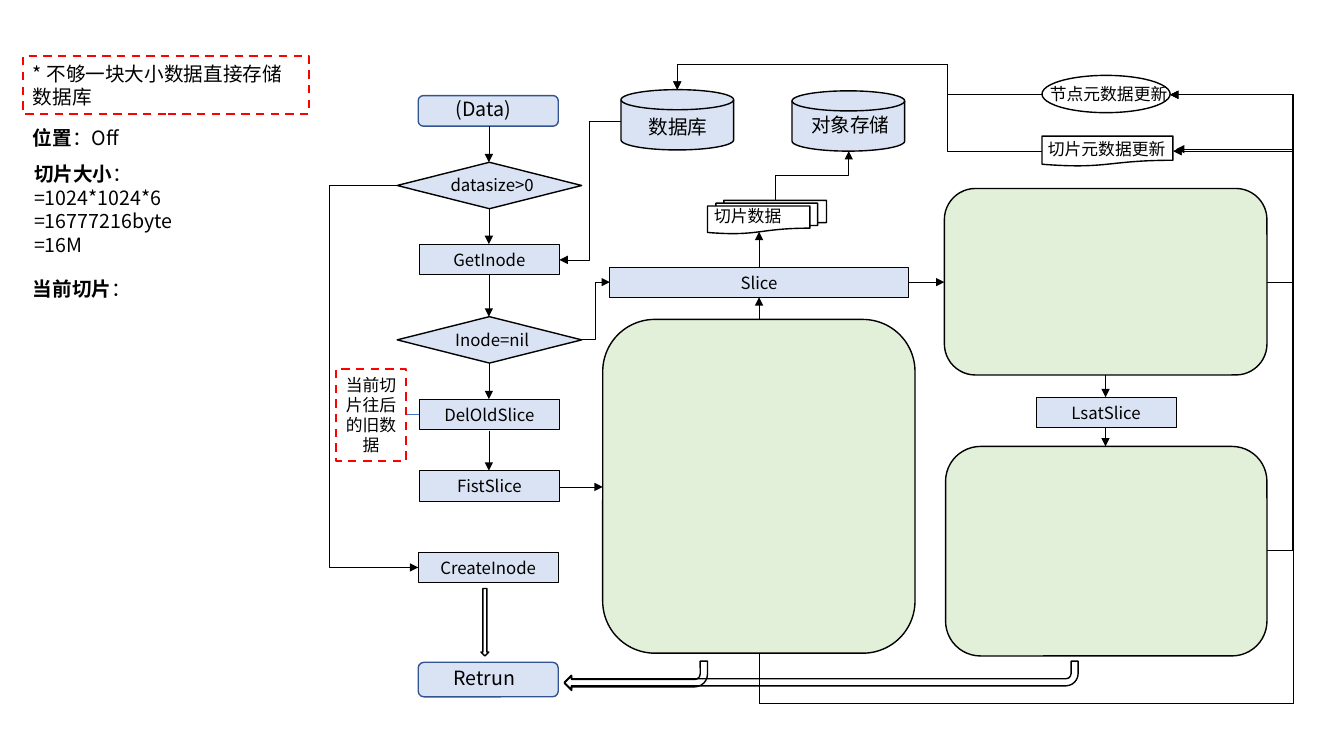
import lxml.etree
import pptx
import pptx.util
import pptx.dml.color
import pptx.enum.dml
import pptx.enum.shapes
import pptx.enum.text
import pptx.oxml.ns

Cm = pptx.util.Cm
Pt = pptx.util.Pt
Kind = pptx.enum.shapes.MSO_SHAPE
Align = pptx.enum.text.PP_ALIGN
qn = pptx.oxml.ns.qn

FONT = "Noto Sans CJK SC"
BLACK, RED, NAVY, BLUE = "000000", "FF0000", "325491", "4472C4"
PALE_BLUE, PALE_GREEN = "DAE3F3", "E2F0D9"
STEP_WIDTH, STEP_HEIGHT = 3.53, 0.77
FLOW_X, SLICE_X, LAST_X = 12.32, 19.13, 27.86  # vertical axes of the arrows


def color(code):
    return pptx.dml.color.RGBColor.from_string(code)


def add_element(parent, tag, **attributes):
    lxml.etree.SubElement(parent, qn(tag), attributes)


def write(frame, text, size=12, lead="", align=Align.CENTER):
    """Fill a text frame; lead is a bold start of the first paragraph."""
    frame.word_wrap = True
    for index, content in enumerate(text.split("\n")):
        para = frame.paragraphs[0] if index == 0 else frame.add_paragraph()
        para.alignment = align
        parts = [(lead, True)] if lead and index == 0 else []
        for words, bold in parts + [(content, False)]:
            span = para.add_run()
            span.text = words
            span.font.size = Pt(size)
            span.font.bold = bold
            span.font.name = FONT
            span.font.color.rgb = color(BLACK)
            add_element(span._r.get_or_add_rPr(), "a:ea", typeface=FONT)


def add_label(page, text, left, top, width, height=0.76, **style):
    box = page.shapes.add_textbox(Cm(left), Cm(top), Cm(width), Cm(height))
    write(box.text_frame, text, **style)


def add_box(page, kind, left, top, width, height, fill=None, line=BLACK, weight=1):
    box = page.shapes.add_shape(kind, Cm(left), Cm(top), Cm(width), Cm(height))
    box.shadow.inherit = False
    if fill:
        box.fill.solid()
        box.fill.fore_color.rgb = color(fill)
    else:
        box.fill.background()
    box.line.color.rgb = color(line)
    box.line.width = Pt(weight)
    return box


def add_step(page, text, left, top, width=STEP_WIDTH):
    box = add_box(page, Kind.RECTANGLE, left, top, width, STEP_HEIGHT, PALE_BLUE, weight=0.75)
    write(box.text_frame, text)


def add_decision(page, text, top):
    add_box(page, Kind.FLOWCHART_DECISION, 10.01, top, 4.65, 1.17, PALE_BLUE)
    add_label(page, text, 10.64, top + 0.2, STEP_WIDTH)


def add_note(page, text, left, top, width, height, **style):
    box = add_box(page, Kind.RECTANGLE, left, top, width, height, line=RED, weight=1.5)
    box.line.dash_style = pptx.enum.dml.MSO_LINE.DASH
    write(box.text_frame, text, **style)


def add_route(page, *points, line=BLACK, arrow=True):
    """Connect the points: two make a straight line, four or five an elbow."""
    (start_x, start_y), (end_x, end_y) = points[0], points[-1]
    across, down = end_x - start_x, end_y - start_y
    bent = len(points) > 2
    upright = bent and points[1][0] == start_x
    # An elbow that leaves vertically is a horizontal one turned by 90 degrees
    run, rise = (down, -across) if upright else (across, down)
    middle_x, middle_y = (start_x + end_x) / 2, (start_y + end_y) / 2
    types = pptx.enum.shapes.MSO_CONNECTOR
    connector = page.shapes.add_connector(
        types.ELBOW if bent else types.STRAIGHT,
        Cm(middle_x - run / 2), Cm(middle_y - rise / 2),
        Cm(middle_x + run / 2), Cm(middle_y + rise / 2))
    connector.line.color.rgb = color(line)
    connector.line.width = Pt(0.5)
    properties = connector.element.spPr
    if upright:
        properties.find(qn("a:xfrm")).set("rot", "5400000")
    if bent:
        geometry = properties.find(qn("a:prstGeom"))
        geometry.set("prst", f"bentConnector{len(points) - 1}")
        guides = geometry.find(qn("a:avLst"))
        shares = [(points[1][1] - start_y) / down if upright
                  else (points[1][0] - start_x) / across]
        if len(points) == 5:
            shares.append((points[2][0] - start_x) / across if upright
                          else (points[2][1] - start_y) / down)
        for number, share in enumerate(shares, 1):
            add_element(guides, "a:gd", name=f"adj{number}", fmla=f"val {round(share * 100000)}")
    if arrow:
        add_element(properties.find(qn("a:ln")), "a:tailEnd", type="triangle")
    add_element(properties, "a:effectLst")


def add_nodes(page):
    # Start and end
    for text, top, height, left, label_top, width in (
            ("(Data)", 2.41, 0.77, 11.23, 2.31, 2.01),
            ("Retrun", 16.69, 0.87, 11.18, 16.66, 2.18)):
        add_box(page, Kind.ROUNDED_RECTANGLE, 10.54, top, STEP_WIDTH, height, PALE_BLUE, NAVY)
        add_label(page, text, left, label_top, width, 0.86, size=14, align=Align.LEFT)

    # Steps and decisions
    for text, left, top in (("GetInode", 10.57, 6.15), ("DelOldSlice", 10.57, 10.06),
                            ("FistSlice", 10.57, 11.86), ("CreateInode", 10.54, 13.92),
                            ("LsatSlice", 26.11, 10.01)):
        add_step(page, text, left, top)
    add_step(page, "Slice", 15.37, 6.73, 7.52)
    add_decision(page, "datasize>0", 4.09)
    add_decision(page, "Inode=nil", 7.98)

    # Storage
    for text, left, top, label_left, label_top, width in (
            ("数据库", 15.65, 2.26, 16.1, 2.77, 2.06),
            ("对象存储", 19.96, 2.29, 20.19, 2.72, 2.57)):
        add_box(page, Kind.FLOWCHART_MAGNETIC_DISK, left, top, 2.84, 1.52, PALE_BLUE)
        add_label(page, text, label_left, label_top, width, 0.86, size=14, align=Align.LEFT)

    # Slice panels
    for place in ((23.8, 4.75, 8.13, 4.7), (15.19, 8.05, 7.87, 8.41), (23.83, 11.25, 8.1, 5.28)):
        add_box(page, Kind.ROUNDED_RECTANGLE, *place, fill=PALE_GREEN)

    # Slice data and metadata updates
    add_box(page, Kind.FLOWCHART_MULTIDOCUMENT, 17.83, 5.05, 3, 0.84)
    add_label(page, "切片数据", 17.5, 5.05, 2.69)
    add_box(page, Kind.FLOWCHART_DOCUMENT, 26.26, 3.43, 3.3, 0.76)
    add_label(page, "切片元数据更新", 26.11, 3.38, 3.56)
    add_box(page, Kind.OVAL, 26.26, 1.9, 3.23, 0.94)
    add_label(page, "节点元数据更新", 26.16, 1.98, 3.56)


def add_routes(page):
    # Straight arrows
    for axis, top, bottom in (
            (FLOW_X, 3.18, 4.09), (FLOW_X, 5.26, 6.15), (FLOW_X, 6.93, 7.98),
            (FLOW_X, 9.14, 10.06), (FLOW_X, 10.85, 11.86), (SLICE_X, 6.73, 5.84),
            (SLICE_X, 8.05, 7.49), (LAST_X, 9.45, 10.01), (LAST_X, 10.77, 11.25)):
        add_route(page, (axis, top), (axis, bottom))
    add_route(page, (22.89, 7.11), (23.8, 7.11))
    add_route(page, (14.1, 12.27), (15.19, 12.27))
    add_route(page, (10.57, 10.44), (10.24, 10.44), line=BLUE, arrow=False)

    # Elbows
    add_route(page, (15.65, 3.05), (14.86, 3.05), (14.86, 6.55), (14.1, 6.55))
    add_route(page, (10.01, 4.67), (8.31, 4.67), (8.31, 14.3), (10.54, 14.3))
    add_route(page, (19.53, 5.05), (19.53, 4.42), (21.39, 4.42), (21.39, 3.81))
    add_route(page, (14.66, 8.56), (15.01, 8.56), (15.01, 7.11), (15.37, 7.11))

    # Updates into the database, and panels into the updates
    for right, level in ((29.49, 2.39), (29.57, 3.81)):
        add_route(page, (26.26, level), (23.87, level),
                  (23.87, 1.63), (17.07, 1.63), (17.07, 2.26))
        for panel_level in (7.11, 13.87):
            add_route(page, (31.93, panel_level), (32.56, panel_level),
                      (32.56, level), (right, level))
    for right, level in ((29.49, 2.39), (29.64, 3.76)):
        add_route(page, (SLICE_X, 16.48), (SLICE_X, 17.73), (32.59, 17.73),
                  (32.59, level), (right, level))

    # Block arrows to the end
    for width, height in ((3.61, 0.74), (12.95, 0.71)):
        add_box(page, Kind.BENT_ARROW, 14.22, 16.66, width, height).rotation = 180
    add_box(page, Kind.DOWN_ARROW, 12.12, 14.83, 0.2, 1.7)


def add_remarks(page):
    left = {"size": 14, "align": Align.LEFT}
    add_note(page, "当前切片往后的旧数据", 8.46, 9.3, 1.78, 2.31)
    add_note(page, "* 不够一块大小数据直接存储数据库", 0.58, 1.42, 7.21, 1.45, **left)
    add_label(page, "：Off", 0.58, 3.05, 7.21, 0.86, lead="位置", **left)
    add_label(page, "：=1024*1024*6\n=16777216byte\n=16M", 0.61, 3.96, 5.11, 2.64,
              lead="切片大小", **left)
    add_label(page, "：", 0.58, 6.86, 5.11, 0.86, lead="当前切片", **left)


def main():
    deck = pptx.Presentation()
    deck.slide_width, deck.slide_height = Cm(33.87), Cm(19.05)
    page = deck.slides.add_slide(deck.slide_layouts[6])
    add_nodes(page)
    add_routes(page)
    add_remarks(page)
    deck.save("out.pptx")


main()
